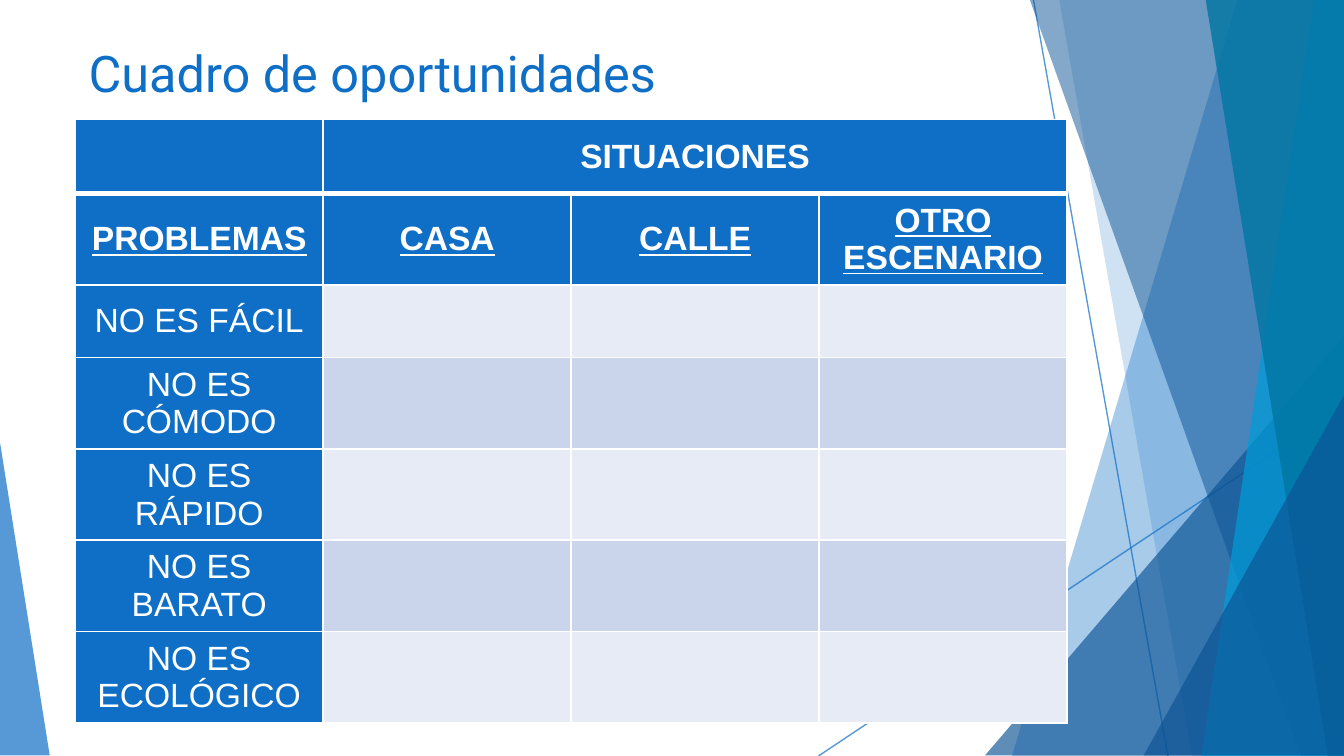
from lxml.etree import Element, SubElement
from pptx import Presentation
from pptx.dml.color import RGBColor
from pptx.enum.shapes import MSO_CONNECTOR, MSO_SHAPE
from pptx.enum.text import MSO_ANCHOR, MSO_AUTO_SIZE, PP_ALIGN
from pptx.oxml.ns import qn
from pptx.util import Inches, Pt

BLUE, NAVY, CYAN, TEAL = "0F6FC6", "0B5394", "009DD9", "0075A2"
WHITE, PALE, SOFT = "FFFFFF", "E6EBF5", "CAD4EA"
TOP, RIGHT = -0.01, 10
LOW = RIGHT * 9 / 16
HEADS = ["PROBLEMAS", "CASA", "CALLE", "OTRO ESCENARIO"]
FLAWS = ["FÁCIL", "CÓMODO", "RÁPIDO", "BARATO", "ECOLÓGICO"]
ROWS = [0.55, 0.68, 0.54] + [0.68] * 4
WIDE = 7.38 / len(HEADS)


def paint(fill, color, alpha=100):
    fill.solid()
    fill.fore_color.rgb = RGBColor.from_string(color)
    if alpha < 100:
        tint = fill._xPr.find(qn("a:solidFill"))[0]
        SubElement(tint, qn("a:alpha"), val=str(alpha * 1000))


def write(frame, text, size=18, font="Arial", color=WHITE,
          bold=False, under=False, align=PP_ALIGN.CENTER):
    para = frame.paragraphs[0]
    para.alignment = align
    run = para.add_run()
    run.text = text
    face = run.font
    face.size, face.name = Pt(size), font
    face.bold, face.underline = bold, under
    face.color.rgb = RGBColor.from_string(color)


def add_line(shapes, *ends):
    line = shapes.add_connector(MSO_CONNECTOR.STRAIGHT, *map(Inches, ends))
    line.line.width = Pt(0.75)
    paint(line.line.fill, BLUE, 70)
    SubElement(line._element.spPr, qn("a:effectLst"))


def finish(shape, color, alpha):
    shape.shadow.inherit = False
    shape.line.fill.background()
    paint(shape.fill, color, alpha)


def add_band(shapes, top, low, color, alpha):
    pen = shapes.build_freeform(Inches(top), Inches(TOP))
    points = [(RIGHT, TOP), (RIGHT, LOW), (low, LOW)]
    pen.add_line_segments([(Inches(x), Inches(y)) for x, y in points])
    finish(pen.convert_to_shape(), color, alpha)


def add_wedge(shapes, box, peak, color, alpha):
    wedge = shapes.add_shape(MSO_SHAPE.ISOSCELES_TRIANGLE, *map(Inches, box))
    wedge.adjustments[0] = peak
    finish(wedge, color, alpha)


def add_decor(shapes):
    add_line(shapes, 7.69, 0, 8.69, LOW)
    add_line(shapes, RIGHT, 3.02, 6.09, LOW)
    add_band(shapes, 9.21, 7.53, BLUE, 36)
    add_band(shapes, 7.88, 8.87, BLUE, 20)
    add_wedge(shapes, (7.33, 2.5, 2.67, 3.12), 1, NAVY, 66)
    add_band(shapes, 7.66, 9.68, NAVY, 50)
    add_band(shapes, 9.78, 8.94, CYAN, 70)
    add_band(shapes, 8.97, 9.88, TEAL, 80)
    add_wedge(shapes, (8.51, 2.94, 1.49, 2.68), 1, NAVY, 66)
    add_wedge(shapes, (0, 3.29, 0.37, 2.33), 0, BLUE, 70)


def add_title(slide):
    title = slide.shapes.title
    title.left, title.top = Inches(0.56), Inches(0.26)
    title.width, title.height = Inches(7.05), Inches(1.08)
    frame = title.text_frame
    frame.auto_size = MSO_AUTO_SIZE.NONE
    frame.vertical_anchor = MSO_ANCHOR.TOP
    write(frame, "Cuadro de oportunidades", size=27, font="Roboto",
          color=BLUE, align=PP_ALIGN.LEFT)


def set_edges(cell, top, low):
    props = cell._tc.get_or_add_tcPr()
    for spot, (side, width) in enumerate(zip("LRTB", (1, 1, top, low))):
        edge = Element(qn("a:ln" + side), w=str(Pt(width)))
        fill = SubElement(edge, qn("a:solidFill"))
        SubElement(fill, qn("a:srgbClr"), val=WHITE)
        props.insert(spot, edge)


def style_cell(cell, row, col):
    head = row < 2 or col == 0
    paint(cell.fill, BLUE if head else SOFT if row % 2 else PALE)
    set_edges(cell, 3 if row == 1 else 1, 3 if row == 0 else 1)
    cell.vertical_anchor = MSO_ANCHOR.MIDDLE
    cell.margin_left = cell.margin_right = Inches(0.07)
    cell.margin_top = cell.margin_bottom = Inches(0.04)


def add_grid(shapes):
    size = (WIDE * len(HEADS), sum(ROWS))
    grid = shapes.add_table(len(ROWS), len(HEADS), Inches(0.56),
                            Inches(0.89), *map(Inches, size)).table
    for col in grid.columns:
        col.width = Inches(WIDE)
    for row, high in enumerate(ROWS):
        grid.rows[row].height = Inches(high)
        for col in range(len(HEADS)):
            style_cell(grid.cell(row, col), row, col)
    grid.cell(0, 1).merge(grid.cell(0, 3))
    write(grid.cell(0, 1).text_frame, "SITUACIONES", bold=True)
    for col, text in enumerate(HEADS):
        write(grid.cell(1, col).text_frame, text, bold=True, under=True)
    for row, text in enumerate(FLAWS, 2):
        write(grid.cell(row, 0).text_frame, "NO ES " + text)


def main():
    deck = Presentation()
    deck.slide_width, deck.slide_height = Inches(RIGHT), Inches(LOW)
    slide = deck.slides.add_slide(deck.slide_layouts[5])
    add_decor(slide.shapes)
    add_title(slide)
    add_grid(slide.shapes)
    deck.save("out.pptx")


if __name__ == "__main__":
    main()
